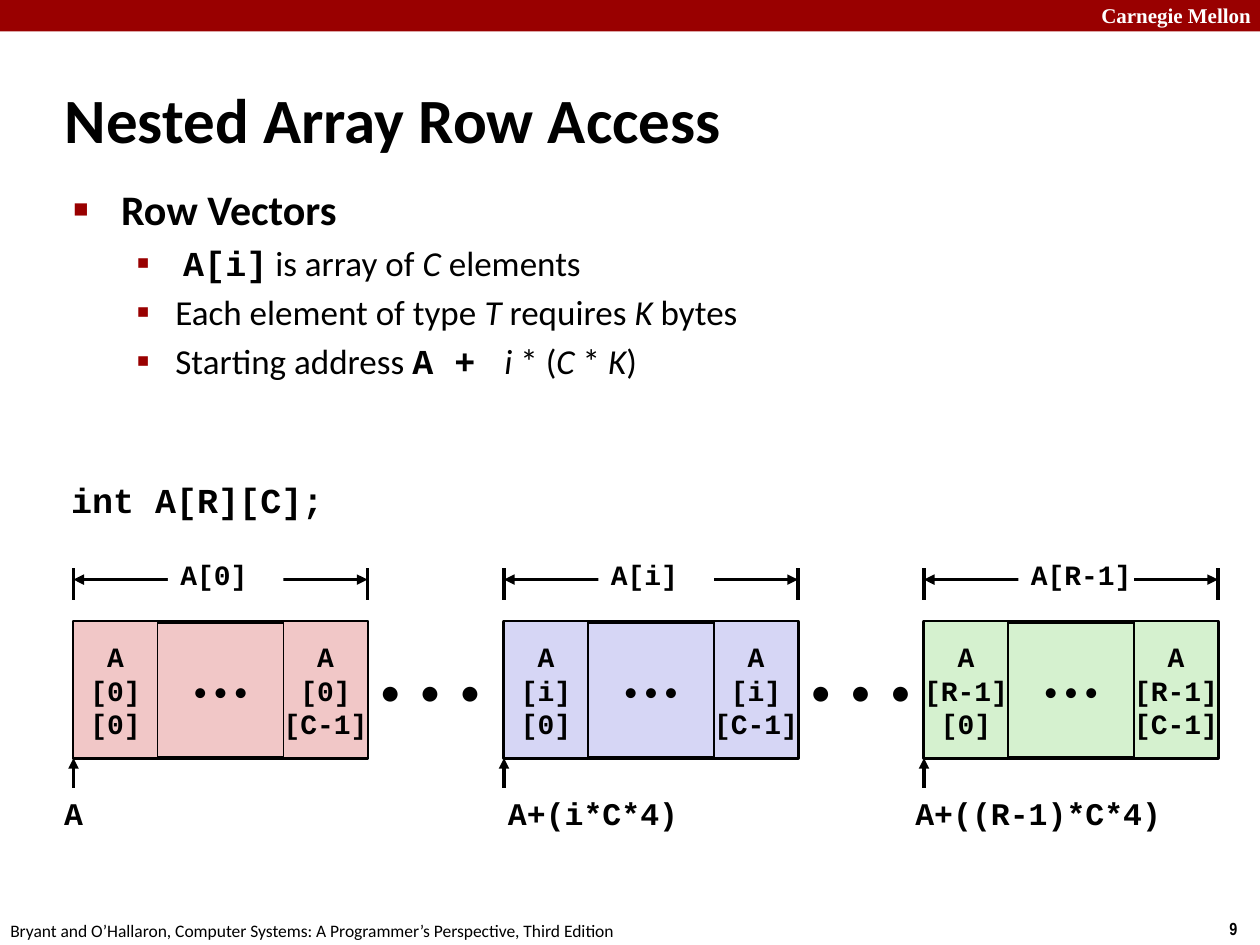
from lxml.etree import SubElement
from pptx import Presentation
from pptx.dml.color import RGBColor
from pptx.enum.shapes import MSO_CONNECTOR, MSO_SHAPE
from pptx.enum.text import MSO_ANCHOR as ANCHOR, PP_ALIGN as ALIGN
from pptx.oxml.ns import qn
from pptx.util import Inches, Pt

BLACK = RGBColor(0x00, 0x00, 0x00)
WHITE = RGBColor(0xFF, 0xFF, 0xFF)
RED = RGBColor(0x99, 0x00, 0x00)
PINK = RGBColor(0xF1, 0xC7, 0xC7)
LILAC = RGBColor(0xD6, 0xD6, 0xF5)
GREEN = RGBColor(0xD5, 0xF1, 0xCF)
SANS, MONO, SERIF = "Calibri", "Courier New", "Times New Roman"

# Grid of 120 columns by 90 rows
UNIT = Inches(1) / 12
ROW_W, CELL_W, BOX_H = 28, 8, 13
BOX_TOP, TICK_TOP, TICK_END, DIM_Y = 59.2, 54.1, 57.1, 55.2
BOX_END = BOX_TOP + BOX_H
ADDRESS_TOP = 75

prs = Presentation()
prs.slide_width, prs.slide_height = Inches(10), Inches(7.5)
s = prs.slides.add_slide(prs.slide_layouts[6])


def add_box(parent, x, y, w, h, lines=(), size=16, font=MONO, bold=True, color=BLACK,
            fill=None, border=None, align=ALIGN.LEFT, anchor=ANCHOR.TOP, wrap=False):
    """Add a text box, or a rectangle if a fill is given; lengths in grid units."""
    place = [round(n * UNIT) for n in (x, y, w, h)]
    if fill is None:
        sp = parent.shapes.add_textbox(*place)
    else:
        sp = parent.shapes.add_shape(MSO_SHAPE.RECTANGLE, *place)
        sp.shadow.inherit = False
        sp.fill.solid()
        sp.fill.fore_color.rgb = fill
        if border:
            sp.line.color.rgb = BLACK
            sp.line.width = Pt(border)
        else:
            sp.line.fill.background()
    tf = sp.text_frame
    tf.word_wrap, tf.vertical_anchor = wrap, anchor
    for i, text in enumerate(lines):
        p = tf.add_paragraph() if i else tf.paragraphs[0]
        p.alignment = align
        r = p.add_run()
        r.text = text
        r.font.size, r.font.name, r.font.bold = Pt(size), font, bold
        r.font.color.rgb = color
    return sp


def add_line(parent, x1, y1, x2, y2, arrows=()):
    """Add a straight line; arrows names the ends (headEnd, tailEnd) to point."""
    c = parent.shapes.add_connector(
        MSO_CONNECTOR.STRAIGHT, *[round(n * UNIT) for n in (x1, y1, x2, y2)])
    c.line.color.rgb, c.line.width = BLACK, Pt(2)
    for end in arrows:
        SubElement(c.line._get_or_add_ln(), qn("a:" + end), type="triangle")
    SubElement(c._element.spPr, qn("a:effectLst"))


# Header and footer
add_box(s, 0, 0, 120, 3, fill=RED)
add_box(s, 103.7, -0.3, 17.2, 3.6, ["Carnegie Mellon"], 12, SERIF, color=WHITE, wrap=True)
add_box(s, 115.9, 86.8, 4.1, 3.2, ["9"], 10, "Arial Narrow")
add_box(s, -0.2, 87, 61, 3.2,
        ["Bryant and O’Hallaron, Computer Systems: A Programmer’s Perspective, Third Edition"],
        10, SANS, bold=False)

# Title and bullets
add_box(s, 5, 7.5, 91, 7.6, ["Nested Array Row Access"], 36, SANS,
        anchor=ANCHOR.MIDDLE, wrap=True)

PLAIN, BOLD, ITALIC, CODE = "plain", "bold", "italic", "code"
bullets = [
    (0, [("Row Vectors", BOLD)]),
    (1, [(" ", PLAIN), ("A[i]", CODE), (" is array of ", PLAIN), ("C", ITALIC),
         (" elements", PLAIN)]),
    (1, [("Each element of type ", PLAIN), ("T ", ITALIC), ("requires ", PLAIN),
         ("K ", ITALIC), ("bytes", PLAIN)]),
    (1, [("Starting address ", PLAIN), ("A + ", CODE), (" ", PLAIN), ("i", ITALIC),
         (" * (", PLAIN), ("C ", ITALIC), ("* ", PLAIN), ("K", ITALIC), (")", PLAIN)]),
]
# By level: left margin, hanging indent, bullet, bullet size in %, text size
levels = [(0.38, 0.38, "■", 60, 24), (0.81, 0.31, "▪", 110, 20)]
tf = add_box(s, 5.8, 16.9, 78.2, 19.1, wrap=True).text_frame
for i, (level, runs) in enumerate(bullets):
    margin, hang, bullet, percent, size = levels[level]
    p = tf.add_paragraph() if i else tf.paragraphs[0]
    p.level = level
    pPr = p._p.get_or_add_pPr()
    pPr.set("marL", str(Inches(margin)))
    pPr.set("indent", str(-Inches(hang)))
    SubElement(SubElement(pPr, qn("a:buClr")), qn("a:srgbClr"), val=str(RED))
    SubElement(pPr, qn("a:buSzPct"), val=str(percent * 1000))
    SubElement(pPr, qn("a:buFont"), typeface=SERIF)
    SubElement(pPr, qn("a:buChar"), char=bullet)
    if i:
        p.space_before = Pt(size * 0.2)
    for text, style in runs:
        r = p.add_run()
        r.text = text
        r.font.size, r.font.color.rgb = Pt(size), BLACK
        r.font.name = MONO if style == CODE else SANS
        r.font.bold, r.font.italic = style in (BOLD, CODE), style == ITALIC

# Declaration
add_box(s, 4, 45, 28, 5.2, ["int A[R][C];"], 20, align=ALIGN.RIGHT)

# Dots in the gaps between the array rows
for gap_x in (35, 76):
    add_box(s, gap_x, BOX_TOP, 13, BOX_H, ["•  •  •"], 24, SANS, bold=False,
            fill=WHITE, anchor=ANCHOR.MIDDLE)

# Array rows: index, left, colour, then text, left, width and alignment of the address
array_rows = [
    ("0", 7, PINK, "A", 4.4, 5.2, ALIGN.CENTER),
    ("i", 48, LILAC, "A+(i*C*4)", 47.2, 23.8, ALIGN.LEFT),
    ("R-1", 88, GREEN, "A+((R-1)*C*4)", 86, 30, ALIGN.LEFT),
]
for index, x, color, address, address_x, address_w, align in array_rows:
    group = s.shapes.add_group_shape()
    end = x + ROW_W
    add_box(group, x, BOX_TOP, ROW_W, BOX_H, ["• • •"], 16, SANS, bold=False, fill=color,
            border=2.25, align=ALIGN.CENTER, anchor=ANCHOR.MIDDLE)
    for cell_x, column in ((x, "0"), (end - CELL_W, "C-1")):
        add_box(group, cell_x, BOX_TOP, CELL_W, BOX_H, ["A", f"[{index}]", f"[{column}]"],
                fill=color, border=1, align=ALIGN.CENTER, anchor=ANCHOR.MIDDLE)
    for tick_x in (x, end):
        add_line(group, tick_x, TICK_TOP, tick_x, TICK_END)
    add_line(group, x, DIM_Y, end, DIM_Y, ("headEnd", "tailEnd"))
    add_box(group, x + 9, 52.2, 11, 5, [f"A[{index}]"], fill=WHITE, anchor=ANCHOR.MIDDLE)
    add_line(s, x, ADDRESS_TOP, x, BOX_END, ("tailEnd",))
    add_box(s, address_x, ADDRESS_TOP, address_w, 4.8, [address], 18, align=align, wrap=True)

prs.save("out.pptx")
